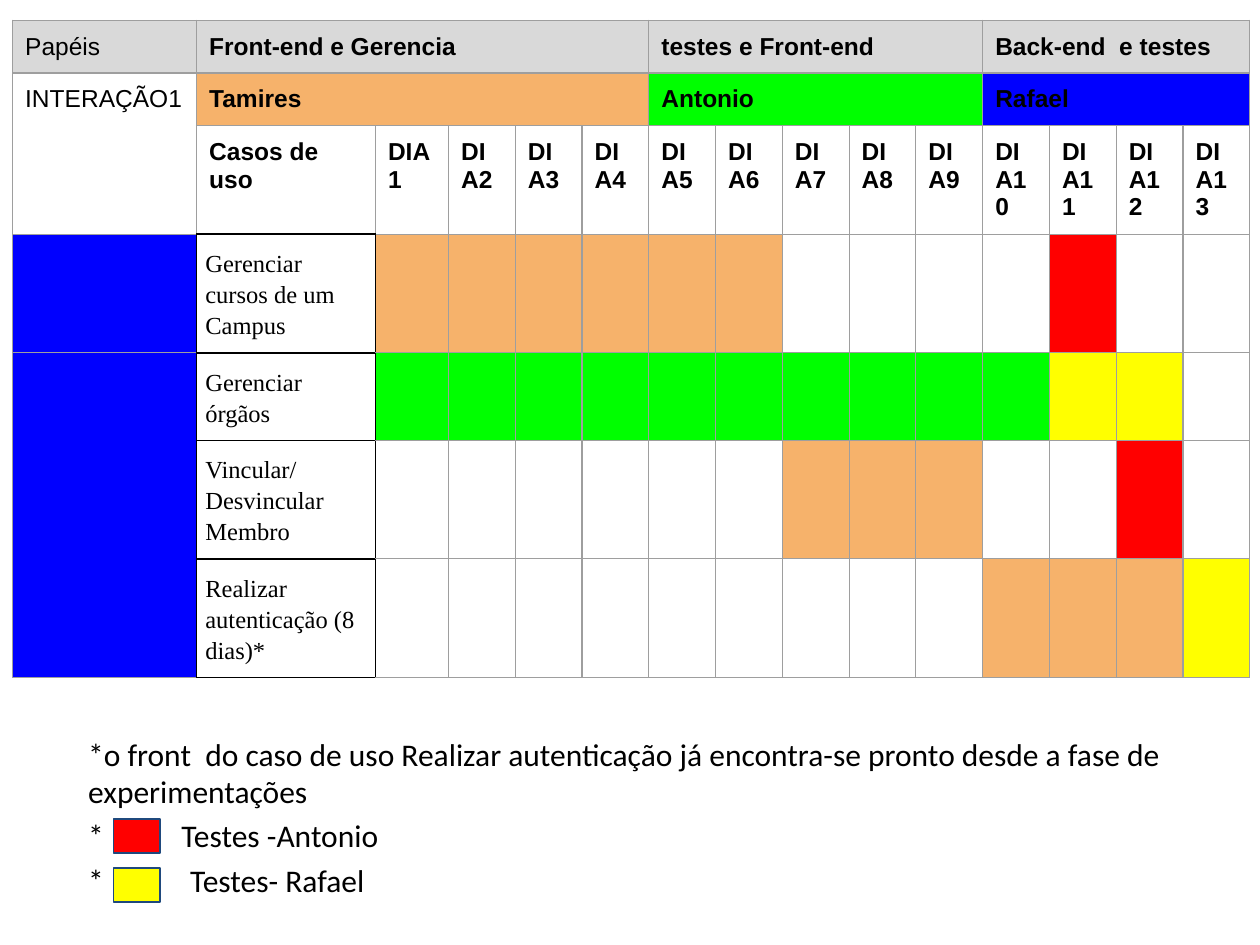
"""Build the slide with the iteration schedule table and its test legend."""
from lxml.etree import SubElement as Sub
from pptx import Presentation
from pptx.dml.color import RGBColor as RGB
from pptx.enum.shapes import MSO_SHAPE as Kind
from pptx.enum.text import MSO_ANCHOR as Anchor, MSO_AUTO_SIZE as Fit, PP_ALIGN as Align
from pptx.oxml.ns import qn
from pptx.util import Inches, Pt

HUES = {
    "black": "000000", "white": "FFFFFF", "gray": "D9D9D9", "edge": "9E9E9E",
    "orange": "F6B26B", "green": "00FF00", "blue": "0000FF", "red": "FF0000",
    "yellow": "FFFF00", "navy": "1F497D",
}


def write(par, text, font, size, bold=False):
    run = par.add_run()
    run.text = text
    run.font.name = font
    run.font.size = Pt(size)
    run.font.bold = bold
    run.font.color.rgb = RGB.from_string(HUES["black"])


def edge(cell, dark):
    props = cell._tc.get_or_add_tcPr()
    for spot, side in enumerate("LRTB"):
        hue, width = ("black", 1) if side in dark else ("edge", 0.75)
        line = Sub(props, qn(f"a:ln{side}"), w=str(Pt(width)))
        Sub(Sub(line, qn("a:solidFill")), qn("a:srgbClr"), val=HUES[hue])
        props.insert(spot, line)


deck = Presentation()
deck.slide_width, deck.slide_height = Inches(10), Inches(7.5)
slide = deck.slides.add_slide(deck.slide_layouts[1])
title = slide.shapes.title
title.element.getparent().remove(title.element)

body = slide.placeholders[1]
body.left, body.top = Inches(0.1), Inches(5.78)
body.width, body.height = Inches(9.4), Inches(1.72)
frame = body.text_frame
frame.auto_size = Fit.NONE
frame.vertical_anchor = Anchor.TOP
notes = [
    ("*o front  do caso de uso Realizar autenticação já encontra-se pronto "
     "desde a fase de experimentações", 0.5),
    ("*\tTestes -Antonio", 1.24),
    ("*\tTestes- Rafael", 1.31),
]
for num, (text, left) in enumerate(notes):
    par = frame.add_paragraph() if num else frame.paragraphs[0]
    par.space_before = Pt(3.6)
    par.alignment = Align.LEFT
    props = par._p.get_or_add_pPr()
    props.set("marL", str(Inches(left)))
    props.set("indent", str(Inches(0.5) - Inches(left)))
    Sub(props, qn("a:buNone"))
    write(par, text, "Calibri", 18)

cols = [1.46, 1.42, 0.58] + [0.53] * 12
rows = [0.42, 0.42, 0.86, 0.94, 0.69, 0.94, 0.94]
grid = slide.shapes.add_table(len(rows), len(cols), Inches(0.1), Inches(0.16),
                              Inches(sum(cols)), Inches(sum(rows))).table
grid.first_row = grid.horz_banding = False
for col, width in zip(grid.columns, cols):
    col.width = Inches(width)
for row, height in zip(grid.rows, rows):
    row.height = Inches(height)

words = {(0, 0): "Papéis", (1, 0): "INTERAÇÃO1", (2, 1): "Casos de uso"}
fills = {(0, 0): "gray"}
teams = [
    (1, 5, "Front-end e Gerencia", "Tamires", "orange"),
    (6, 10, "testes e Front-end", "Antonio", "green"),
    (11, 14, "Back-end  e testes", "Rafael", "blue"),
]
for start, end, role, name, hue in teams:
    for row, text, fill in [(0, role, "gray"), (1, name, hue)]:
        words[row, start] = text
        fills.update({(row, col): fill for col in range(start, end + 1)})
        grid.cell(row, start).merge(grid.cell(row, end))
grid.cell(1, 0).merge(grid.cell(2, 0))
grid.cell(4, 0).merge(grid.cell(6, 0))

for day in range(1, 14):
    words[2, day + 1] = f"DIA{day}"
tasks = [
    ("Gerenciar cursos de um Campus", [(1, 6, "orange"), (11, 11, "red")]),
    ("Gerenciar órgãos", [(1, 10, "green"), (11, 12, "yellow")]),
    ("Vincular/ Desvincular Membro", [(7, 9, "orange"), (12, 12, "red")]),
    ("Realizar autenticação (8 dias)*", [(10, 12, "orange"), (13, 13, "yellow")]),
]
for row, (task, bars) in enumerate(tasks, 3):
    words[row, 1] = task
    fills[row, 0] = "blue"
    for first, last, hue in bars:
        fills.update({(row, day + 1): hue for day in range(first, last + 1)})

for row in range(len(rows)):
    for col in range(len(cols)):
        cell = grid.cell(row, col)
        task = row > 2 and col == 1
        cell.margin_left = cell.margin_right = Inches(0.07 if task else 0.1)
        cell.margin_top = cell.margin_bottom = Inches(0.1)
        cell.fill.solid()
        cell.fill.fore_color.rgb = RGB.from_string(HUES[fills.get((row, col), "white")])
        dark = {0: "R", 1: "LRTB", 2: "L"}.get(col, "") if row > 2 else ""
        if (row, col) == (2, 1):
            dark = "B"
        edge(cell, dark)
        if (row, col) in words:
            par = cell.text_frame.paragraphs[0]
            if task:
                par.line_spacing = 1.15
            write(par, words[row, col], "Times New Roman" if task else "Arial",
                  14, col > 0 and not task)

for top, hue in [(6.5, "red"), (6.89, "yellow")]:
    key = slide.shapes.add_shape(Kind.RECTANGLE, Inches(0.9), Inches(top),
                                 Inches(0.37), Inches(0.27))
    key.shadow.inherit = False
    key.fill.solid()
    key.fill.fore_color.rgb = RGB.from_string(HUES[hue])
    key.line.color.rgb = RGB.from_string(HUES["navy"])
    key.line.width = Pt(0.75)

deck.save("out.pptx")
